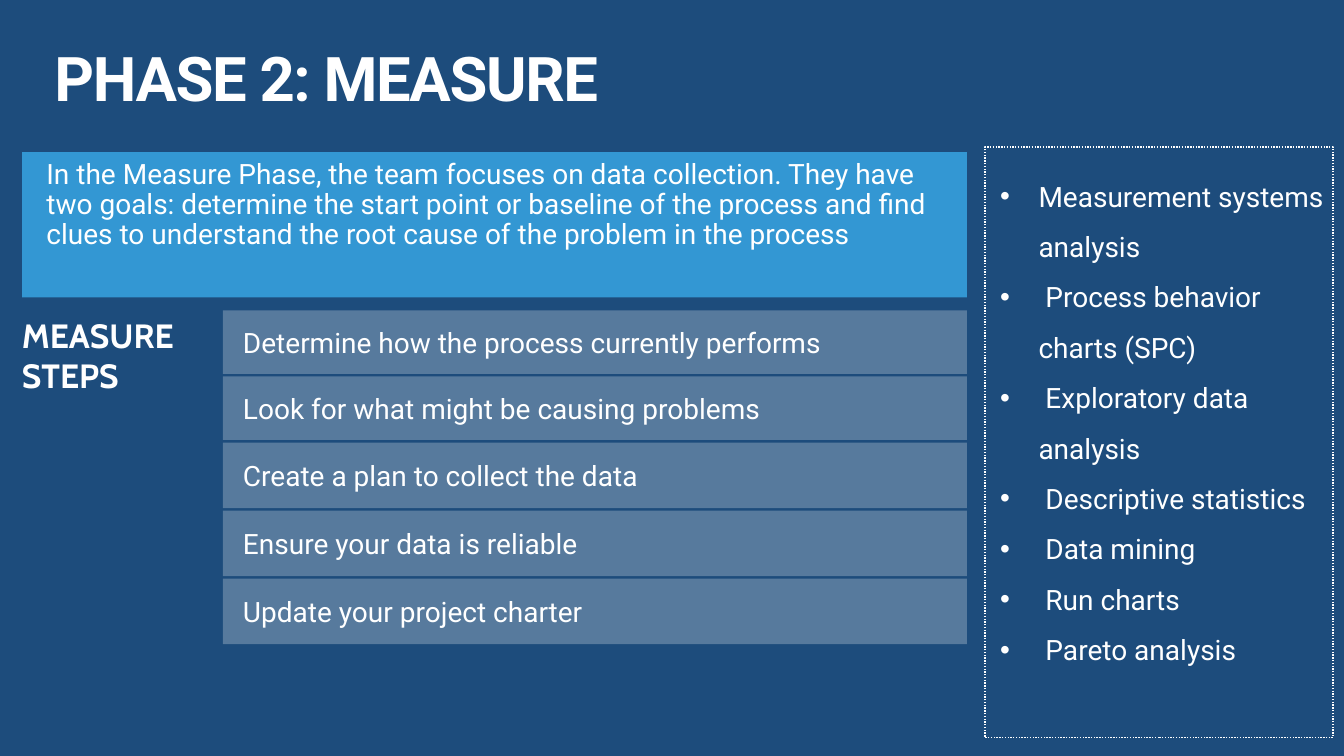
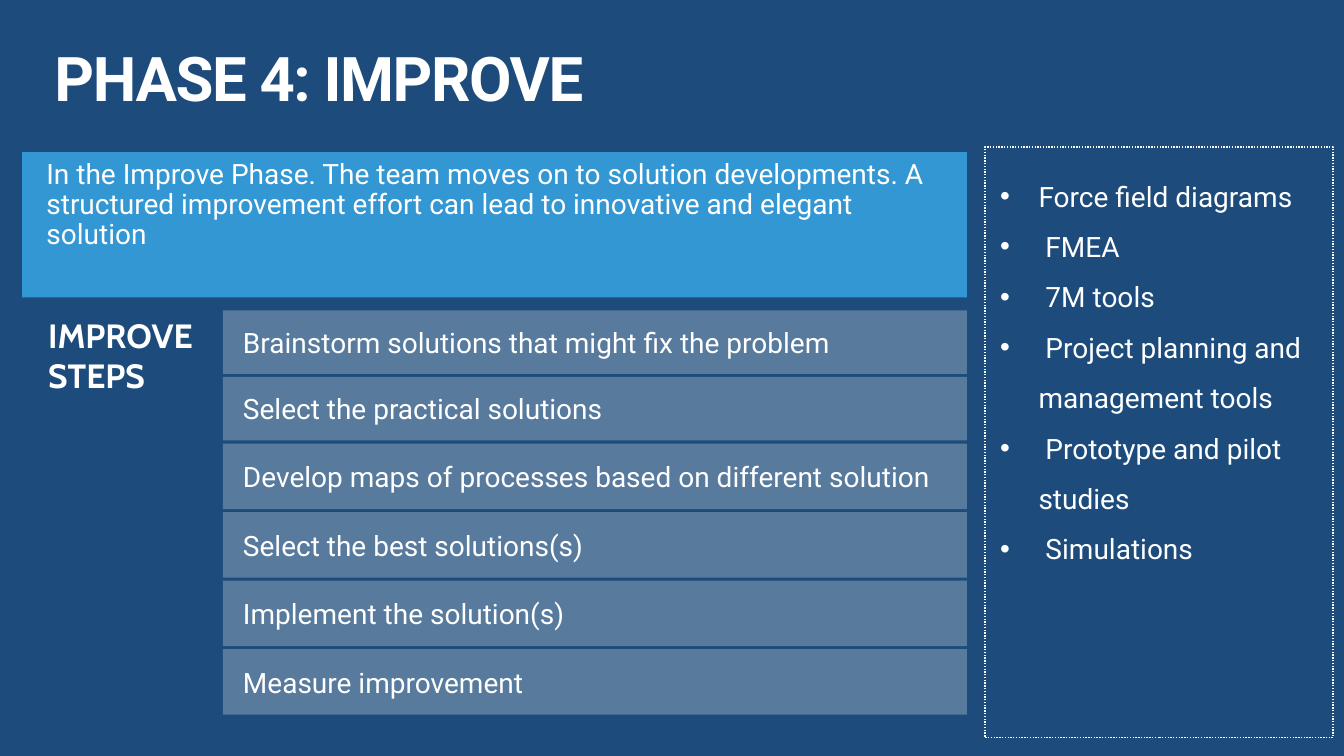
from dataclasses import dataclass

from lxml.etree import SubElement
from pptx import Presentation
from pptx.dml.color import RGBColor
from pptx.enum.dml import MSO_LINE
from pptx.enum.shapes import MSO_SHAPE
from pptx.enum.text import MSO_ANCHOR, MSO_AUTO_SIZE, PP_ALIGN
from pptx.oxml.ns import qn
from pptx.util import Inches, Pt

PHASES = [
    {
        "title": "PHASE 2: MEASURE",
        "summary": "In the Measure Phase, the team focuses on data collection. "
                   "They have two goals: determine the start point or baseline of the process "
                   "and find clues to understand the root cause of the problem in the process",
        "heading": "MEASURE STEPS",
        "heading_left": 0.12,
        "heading_width": 2.04,
        "steps": [
            "Determine how the process currently performs",
            "Look for what might be causing problems",
            "Create a plan to collect the data",
            "Ensure your data is reliable",
            "Update your project charter",
        ],
        "steps_bottom": 6.39,
        "tools": [
            "Measurement systems analysis",
            " Process behavior charts (SPC)",
            " Exploratory data analysis",
            " Descriptive statistics",
            " Data mining",
            " Run charts",
            " Pareto analysis",
        ],
    },
    {
        "title": "PHASE 4: IMPROVE",
        "summary": "In the Improve Phase. The team moves on to solution developments. "
                   "A structured improvement effort can lead to innovative and elegant solution",
        "heading": "IMPROVE STEPS",
        "heading_left": 0.38,
        "heading_width": 1.82,
        "steps": [
            "Brainstorm solutions that might fix the problem",
            "Select the practical solutions",
            "Develop maps of processes based on different solution",
            "Select the best solutions(s)",
            "Implement the solution(s)",
            "Measure improvement",
        ],
        "steps_bottom": 7.09,
        "tools": [
            "Force field diagrams",
            " FMEA",
            " 7M tools",
            " Project planning and management tools",
            " Prototype and pilot studies",
            " Simulations",
        ],
    },
]


@dataclass(frozen=True)
class Theme:
    navy: RGBColor = RGBColor(0x1D, 0x4C, 0x7C)
    blue: RGBColor = RGBColor(0x33, 0x97, 0xD3)
    white: RGBColor = RGBColor(0xFF, 0xFF, 0xFF)
    step_alpha: int = 26
    body_font: str = "Roboto"
    heading_font: str = "Cabin"
    title_size: int = 44
    heading_size: int = 24
    body_size: int = 20


THEME = Theme()
STEPS_LEFT, STEPS_TOP, STEPS_WIDTH = 2.21, 3.08, 7.38
BULLET_INDENT = 0.38


def write(shape, *lines, font=THEME.body_font, size=THEME.body_size, bold=False,
          spacing=1.0, tracking=0, bullet=None, anchor=MSO_ANCHOR.TOP,
          insets=(0.1, 0.05, 0.1, 0.05)):
    """Fill a shape with one paragraph per line; insets run left, top, right, bottom."""
    frame = shape.text_frame
    frame.word_wrap = True
    frame.auto_size = MSO_AUTO_SIZE.NONE
    frame.vertical_anchor = anchor
    (frame.margin_left, frame.margin_top,
     frame.margin_right, frame.margin_bottom) = map(Inches, insets)
    for index, line in enumerate(lines):
        paragraph = frame.add_paragraph() if index else frame.paragraphs[0]
        paragraph.alignment = PP_ALIGN.LEFT
        paragraph.line_spacing = spacing
        run = paragraph.add_run()
        run.text = line
        run.font.name = font
        run.font.size = Pt(size)
        run.font.bold = bold
        run.font.color.rgb = THEME.white
        if tracking:
            run.font._element.set("spc", str(tracking * 100))
        if bullet:
            properties = paragraph._p.get_or_add_pPr()
            properties.set("marL", str(Inches(BULLET_INDENT)))
            properties.set("indent", str(-Inches(BULLET_INDENT)))
            SubElement(properties, qn("a:buFont")).set("typeface", "Arial")
            SubElement(properties, qn("a:buChar")).set("char", bullet)


def add_panel(slide, left, top, width, height, fill=None, alpha=None):
    """Add a flat rectangle without outline; alpha is opacity in percent."""
    panel = slide.shapes.add_shape(
        MSO_SHAPE.RECTANGLE, *map(Inches, (left, top, width, height)))
    panel.shadow.inherit = False
    panel.line.fill.background()
    if fill is None:
        panel.fill.background()
    else:
        panel.fill.solid()
        panel.fill.fore_color.rgb = fill
    if alpha is not None:
        color = panel._element.spPr.find(qn("a:solidFill")).find(qn("a:srgbClr"))
        SubElement(color, qn("a:alpha")).set("val", str(alpha * 1000))
    return panel


def add_title(slide, text):
    title = slide.shapes.title
    title.left, title.top, title.width, title.height = map(Inches, (0.44, 0.43, 8.5, 0.88))
    write(title, text, size=THEME.title_size, bold=True, spacing=0.9, tracking=-1)


def add_steps(slide, steps, bottom):
    """Stack the step bars with equal gaps between the fixed top and the given bottom."""
    heights = [0.63 if index < 2 else 0.65 for index in range(len(steps))]
    gap = (bottom - STEPS_TOP - sum(heights)) / (len(steps) - 1)
    top = STEPS_TOP
    for step, height in zip(steps, heights):
        bar = add_panel(slide, STEPS_LEFT, top, STEPS_WIDTH, height,
                        THEME.white, THEME.step_alpha)
        write(bar, step, anchor=MSO_ANCHOR.MIDDLE, insets=(0.2, 0.05, 0.1, 0.05))
        top += height + gap


def add_tools(slide, tools):
    tool_box = add_panel(slide, 9.77, 1.46, 3.45, 5.86)
    tool_box.line.color.rgb = THEME.white
    tool_box.line.width = Pt(1)
    tool_box.line.dash_style = MSO_LINE.ROUND_DOT
    write(tool_box, *tools, spacing=1.5, bullet="•", insets=(0.15, 0.15, 0.05, 0.05))


def add_phase(deck, phase):
    slide = deck.slides.add_slide(deck.slide_layouts[5])
    add_title(slide, phase["title"])
    summary = add_panel(slide, 0.22, 1.51, 9.37, 1.44, THEME.blue)
    write(summary, phase["summary"], spacing=0.9, insets=(0.24, 0.08, 0.1, 0.05))
    heading = slide.shapes.add_textbox(
        *map(Inches, (phase["heading_left"], 3.07, phase["heading_width"], 0.91)))
    write(heading, phase["heading"], font=THEME.heading_font,
          size=THEME.heading_size, bold=True)
    add_steps(slide, phase["steps"], phase["steps_bottom"])
    add_tools(slide, phase["tools"])


def main():
    deck = Presentation()
    deck.slide_width, deck.slide_height = Inches(13.33), Inches(7.5)
    background = deck.slide_master.background.fill
    background.solid()
    background.fore_color.rgb = THEME.navy
    for phase in PHASES:
        add_phase(deck, phase)
    deck.save("out.pptx")


if __name__ == "__main__":
    main()
